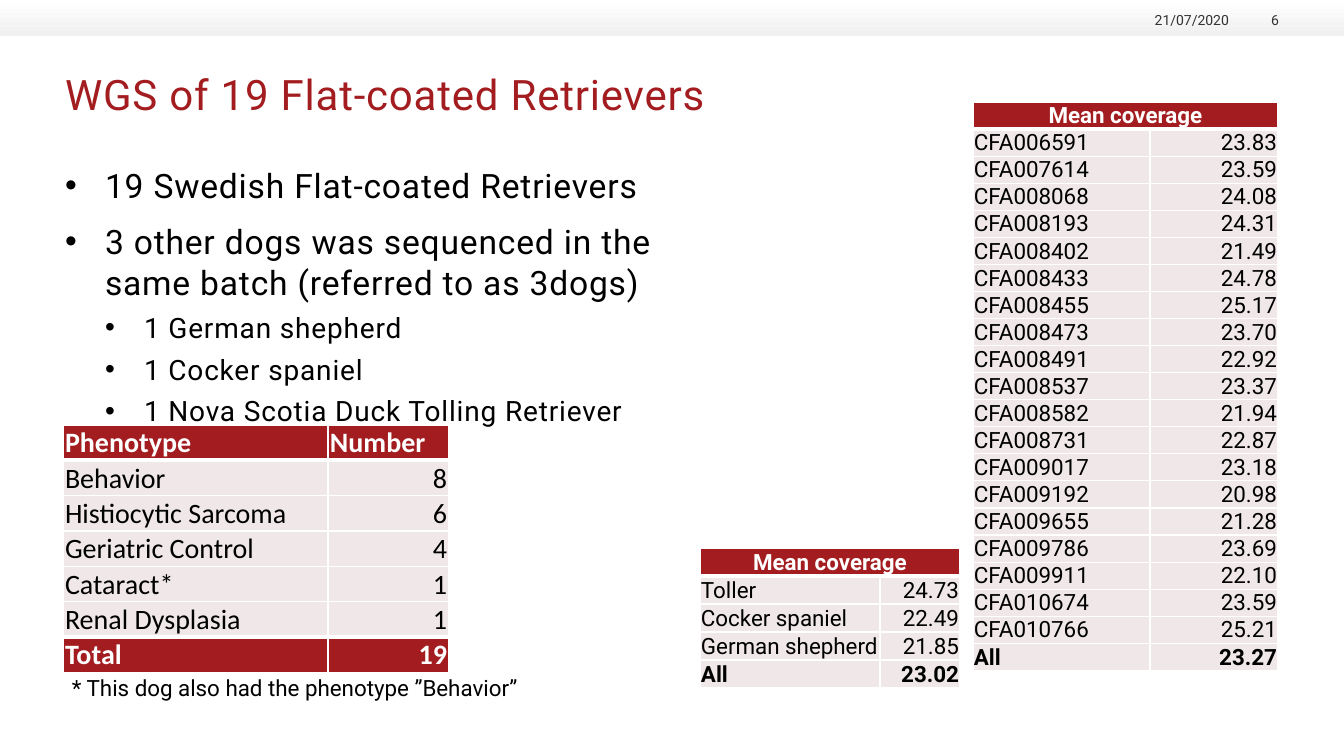
import pptx
import pptx.util
import pptx.dml.color
import pptx.enum.shapes
import pptx.enum.text
import pptx.oxml
import pptx.oxml.ns
from lxml import etree

COLORS = {"red": "A31D20", "row": "F0E8E8", "white": "FFFFFF", "black": "000000",
          "band": "EFF0EF", "footer": "333333"}
TITLE = "WGS of 19 Flat-coated Retrievers"
BULLETS = [
    (0, "19 Swedish Flat-coated Retrievers"),
    (0, "3 other dogs was sequenced in the same batch (referred to as 3dogs)"),
    (1, "1 German shepherd"),
    (1, "1 Cocker spaniel"),
    (1, "1 Nova Scotia Duck Tolling Retriever"),
]
# Per bullet level: indent px, hanging px, size pt, space before pt
BULLET_LEVELS = [(40, 40, 24, 10), (79, 39, 20, 5)]
PHENOTYPES = [
    ("Phenotype", "Number"), ("Behavior", "8"), ("Histiocytic Sarcoma", "6"),
    ("Geriatric Control", "4"), ("Cataract*", "1"), ("Renal Dysplasia", "1"), ("Total", "19"),
]
RETRIEVER_COVERAGE = [
    ("Mean coverage",),
    ("CFA006591", "23.83"), ("CFA007614", "23.59"), ("CFA008068", "24.08"),
    ("CFA008193", "24.31"), ("CFA008402", "21.49"), ("CFA008433", "24.78"),
    ("CFA008455", "25.17"), ("CFA008473", "23.70"), ("CFA008491", "22.92"),
    ("CFA008537", "23.37"), ("CFA008582", "21.94"), ("CFA008731", "22.87"),
    ("CFA009017", "23.18"), ("CFA009192", "20.98"), ("CFA009655", "21.28"),
    ("CFA009786", "23.69"), ("CFA009911", "22.10"), ("CFA010674", "23.59"),
    ("CFA010766", "25.21"), ("All", "23.27"),
]
OTHER_COVERAGE = [
    ("Mean coverage",), ("Toller", "24.73"), ("Cocker spaniel", "22.49"),
    ("German shepherd", "21.85"), ("All", "23.02"),
]
FOOTNOTE = "* This dog also had the phenotype ”Behavior”"
# Text, left px, width px
HEADER_FIELDS = [("21/07/2020", 1139, 90), ("6", 1237, 42)]

EMU_PER_PX = 914400 / 100.8
ALIGN = pptx.enum.text.PP_ALIGN
ANCHOR = pptx.enum.text.MSO_ANCHOR


def px(value):
    return pptx.util.Emu(round(value * EMU_PER_PX))


def rgb(name):
    return pptx.dml.color.RGBColor.from_string(COLORS[name])


def style_paragraph(paragraph, size, color, bold=False, align=ALIGN.LEFT, spacing=0, font="Roboto"):
    paragraph.alignment = align
    paragraph.font.name = font
    paragraph.font.size = pptx.util.Pt(size)
    paragraph.font.bold = bold
    paragraph.font.color.rgb = rgb(color)
    if spacing:
        properties = paragraph._p.pPr.find(pptx.oxml.ns.qn("a:defRPr"))
        properties.set("spc", str(round(spacing * 100)))


def set_frame(frame, anchor=ANCHOR.TOP, margin=0):
    frame.word_wrap = True
    frame.auto_size = pptx.enum.text.MSO_AUTO_SIZE.NONE
    frame.vertical_anchor = anchor
    frame.margin_left = frame.margin_right = px(margin)
    frame.margin_top = frame.margin_bottom = px(margin / 2)


def add_text_box(slide, box, anchor=ANCHOR.TOP, margin=0):
    frame = slide.shapes.add_textbox(*map(px, box)).text_frame
    set_frame(frame, anchor, margin)
    return frame


def add_borders(cell, top, bottom):
    """Give a cell white borders: 1 pt at the sides, the given points above and below."""
    properties = cell._tc.get_or_add_tcPr()
    for side, points in (("L", 1), ("R", 1), ("T", top), ("B", bottom)):
        line = etree.SubElement(properties, pptx.oxml.ns.qn(f"a:ln{side}"),
                                w=str(pptx.util.Pt(points)))
        fill = etree.SubElement(line, pptx.oxml.ns.qn("a:solidFill"))
        etree.SubElement(fill, pptx.oxml.ns.qn("a:srgbClr"), val=COLORS["white"])


def add_data_table(slide, rows, left, top, widths, row_height, size, font, margin, red_total=False):
    last = len(rows) - 1
    table = slide.shapes.add_table(len(rows), 2, px(left), px(top), px(sum(widths)),
                                   px(row_height * len(rows))).table
    table.first_row = table.horz_banding = False
    for column, width in zip(table.columns, widths):
        column.width = px(width)
    for row_index, values in enumerate(rows):
        table.rows[row_index].height = px(row_height)
        is_header, is_total = row_index == 0, row_index == last
        is_red = is_header or (is_total and red_total)
        above = 3 if row_index == 1 or (is_total and red_total) else 1
        below = 3 if is_header or (row_index == last - 1 and red_total) else 1
        if len(values) == 1:
            table.cell(row_index, 0).merge(table.cell(row_index, 1))
        for column_index in range(2):
            cell = table.cell(row_index, column_index)
            cell.vertical_anchor = ANCHOR.BOTTOM
            cell.margin_left = cell.margin_right = px(margin)
            cell.margin_top, cell.margin_bottom = px(1), 0
            add_borders(cell, above, below)
            cell.fill.solid()
            cell.fill.fore_color.rgb = rgb("red" if is_red else "row")
            if column_index == len(values):
                continue
            cell.text = values[column_index]
            if len(values) == 1:
                align = ALIGN.CENTER
            else:
                align = ALIGN.RIGHT if column_index and not is_header else ALIGN.LEFT
            style_paragraph(cell.text_frame.paragraphs[0], size, "white" if is_red else "black",
                            is_header or is_total, align, font=font)


def add_header_band(slide):
    band = slide.shapes.add_shape(pptx.enum.shapes.MSO_SHAPE.RECTANGLE, 0, 0, px(1344), px(36))
    band.shadow.inherit = False
    band.line.fill.background()
    band.fill.gradient()
    band.fill.gradient_angle = 270
    for stop, position, color in zip(band.fill.gradient_stops, (0, 1), ("white", "band")):
        stop.position = position
        stop.color.rgb = rgb(color)
    for text, left, width in HEADER_FIELDS:
        frame = add_text_box(slide, (left, 9, width, 19), ANCHOR.BOTTOM)
        frame.text = text
        style_paragraph(frame.paragraphs[0], 10, "footer", align=ALIGN.RIGHT)


def add_bullets(slide):
    frame = add_text_box(slide, (65, 164, 672, 261))
    for index, (level, text) in enumerate(BULLETS):
        paragraph = frame.add_paragraph() if index else frame.paragraphs[0]
        paragraph.text = text
        paragraph.level = level
        paragraph.line_spacing = 1.03
        indent, hanging, size, space_before = BULLET_LEVELS[level]
        if index:
            paragraph.space_before = pptx.util.Pt(space_before)
        properties = paragraph._p.get_or_add_pPr()
        properties.set("marL", str(px(indent)))
        properties.set("indent", str(-px(hanging)))
        etree.SubElement(properties, pptx.oxml.ns.qn("a:buFont"), typeface="Arial")
        etree.SubElement(properties, pptx.oxml.ns.qn("a:buChar"), char="•")
        style_paragraph(paragraph, size, "black", spacing=0.6)


def main():
    presentation = pptx.Presentation()
    presentation.slide_width, presentation.slide_height = px(1344), px(756)
    slide = presentation.slides.add_slide(presentation.slide_layouts[5])
    add_header_band(slide)

    title = slide.shapes.title
    title.left, title.top, title.width, title.height = map(px, (65, 69, 1214, 96))
    title.text = TITLE
    set_frame(title.text_frame)
    style_paragraph(title.text_frame.paragraphs[0], 30, "red", spacing=0.6)

    add_bullets(slide)
    add_data_table(slide, PHENOTYPES, 63, 425, (265, 121), 35, 20, "Calibri", 2, red_total=True)
    add_data_table(slide, RETRIEVER_COVERAGE, 973, 102, (177, 128), 27, 16, "Roboto", 1)
    add_data_table(slide, OTHER_COVERAGE, 700, 548, (180, 80), 28, 16, "Roboto", 1)

    footnote = add_text_box(slide, (62, 669, 497, 37), margin=10)
    footnote.text = FOOTNOTE
    style_paragraph(footnote.paragraphs[0], 16, "black")
    presentation.save("out.pptx")


if __name__ == "__main__":
    main()
